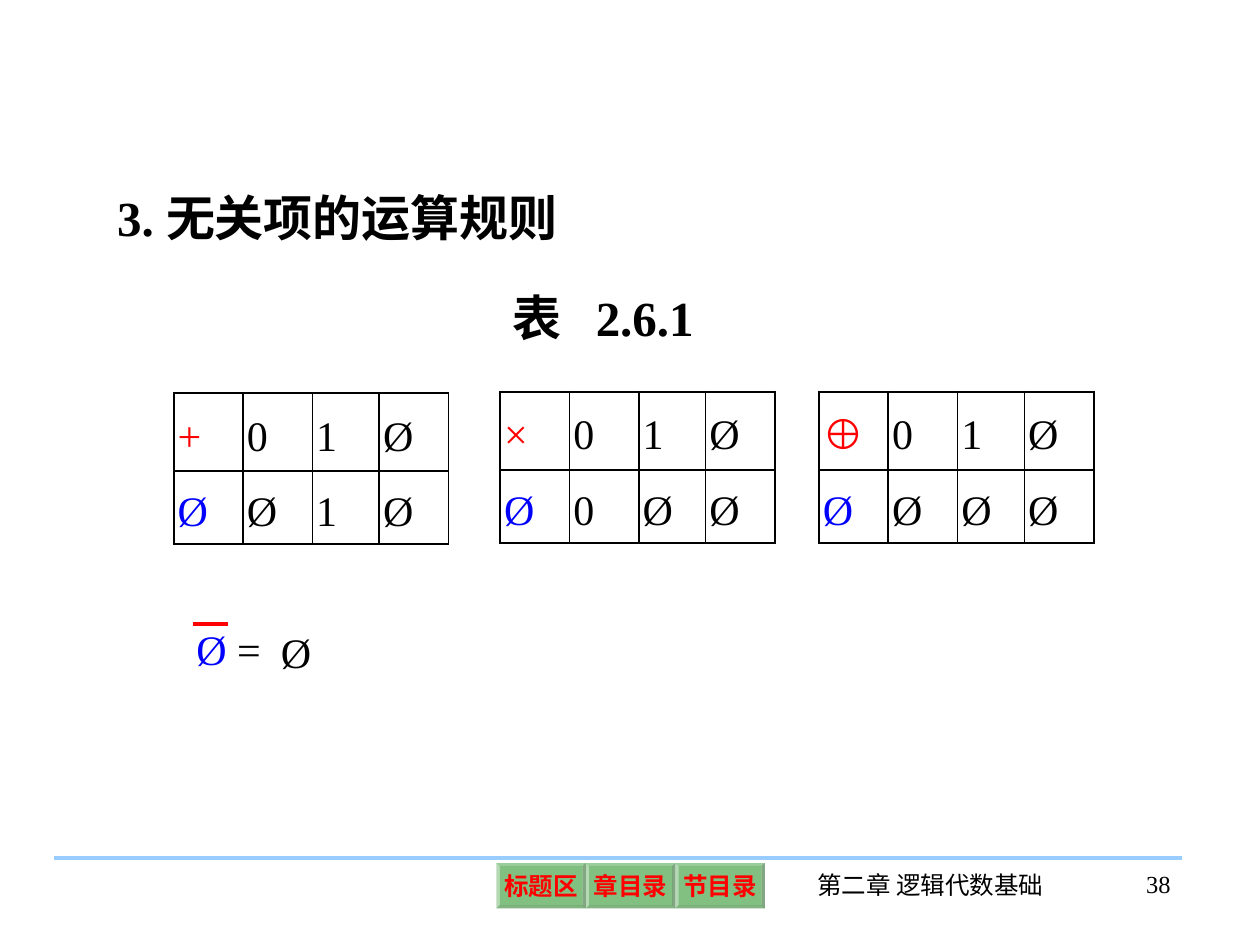
from dataclasses import dataclass, field
from typing import Any

from lxml.etree import SubElement
from pptx import Presentation
from pptx.dml.color import RGBColor
from pptx.enum.shapes import MSO_CONNECTOR as Connector, MSO_SHAPE as Preset
from pptx.enum.text import MSO_ANCHOR as Anchor, PP_ALIGN as Align
from pptx.oxml import parse_xml
from pptx.oxml.ns import nsdecls, qn
from pptx.util import Inches, Pt

FONT = "Times New Roman"
BLACK, RED, BLUE, GREEN, SKY = "000000", "FF0000", "0000FF", "008000", "99CCFF"
COLUMN_WIDTHS = (0.55, 0.55, 0.53, 0.55)
ROW_HEIGHTS = (0.62, 0.55)
BUTTON_WIDTH, BUTTON_HEIGHT = 0.71, 0.36


@dataclass
class Label:
    box: tuple[float, float, float, float]
    runs: list[tuple[str, str]]
    size: float
    bold: bool = False
    align: Align = Align.LEFT
    tabs: list[float] = field(default_factory=list)


@dataclass
class RuleTable:
    left: float
    top: float
    rows: tuple[str, str]


def color(value: str) -> RGBColor:
    return RGBColor.from_string(value)


def set_values(target: Any, values: dict[str, Any]) -> None:
    for name, value in values.items():
        setattr(target, name, value)


def set_frame(frame: Any, side: float, end: float, anchor: Anchor, wrap: bool = True) -> None:
    set_values(frame, {
        "margin_left": Inches(side), "margin_right": Inches(side),
        "margin_top": Inches(end), "margin_bottom": Inches(end),
        "vertical_anchor": anchor, "word_wrap": wrap,
    })


def add_run(paragraph: Any, text: str, size: float, hue: str, bold: bool = False) -> None:
    run = paragraph.add_run()
    run.text = text
    set_values(run.font, {"name": FONT, "size": Pt(size), "bold": bold})
    run.font.color.rgb = color(hue)


def write_label(shape: Any, label: Label) -> None:
    set_frame(shape.text_frame, 0.1, 0.05, Anchor.TOP)
    paragraph = shape.text_frame.paragraphs[0]
    set_values(paragraph, {"alignment": label.align, "line_spacing": 1.0, "space_before": Pt(0)})
    if label.tabs:
        tab_list = SubElement(paragraph._p.get_or_add_pPr(), qn("a:tabLst"))
        for position in label.tabs:
            SubElement(tab_list, qn("a:tab"), pos=str(Inches(position)), algn="l")
    for text, hue in label.runs:
        add_run(paragraph, text, label.size, hue, label.bold)


def add_label(shapes: Any, label: Label) -> None:
    write_label(shapes.add_textbox(*map(Inches, label.box)), label)


def add_rule(shapes: Any, left: float, right: float, y: float, hue: str) -> None:
    line = shapes.add_connector(Connector.STRAIGHT, *map(Inches, (left, y, right, y)))
    line.line.color.rgb = color(hue)
    line.line.width = Pt(2.25)
    SubElement(line._element.spPr, qn("a:effectLst"))


def add_button(shapes: Any, left: float, text: str) -> None:
    box = (left, 6.85, BUTTON_WIDTH, BUTTON_HEIGHT)
    button = shapes.add_shape(Preset.BEVEL, *map(Inches, box))
    button.adjustments[0] = 0.07
    button.shadow.inherit = False
    button.line.fill.background()
    button.fill.solid()
    button.fill.fore_color.rgb = color(GREEN)
    shade = button._element.spPr.find(".//" + qn("a:srgbClr"))
    SubElement(shade, qn("a:alpha"), val="49000")
    set_frame(button.text_frame, 0.04, 0.04, Anchor.MIDDLE, wrap=False)
    paragraph = button.text_frame.paragraphs[0]
    paragraph.alignment = Align.CENTER
    add_run(paragraph, text, 14, RED, True)


def set_borders(cell: Any) -> None:
    properties = cell._tc.get_or_add_tcPr()
    for index, side in enumerate(("lnL", "lnR", "lnT", "lnB")):
        border = parse_xml(
            f'<a:{side} {nsdecls("a")} w="{Pt(1.08)}"><a:solidFill>'
            f'<a:srgbClr val="{BLACK}"/></a:solidFill></a:{side}>')
        properties.insert(index, border)


def add_rule_table(shapes: Any, rules: RuleTable) -> None:
    box = (rules.left, rules.top, sum(COLUMN_WIDTHS), sum(ROW_HEIGHTS))
    table = shapes.add_table(len(ROW_HEIGHTS), len(COLUMN_WIDTHS), *map(Inches, box)).table
    set_values(table, {"first_row": False, "horz_banding": False})
    for column, width in zip(table.columns, COLUMN_WIDTHS):
        column.width = Inches(width)
    for row, height, symbols, lead in zip(table.rows, ROW_HEIGHTS, rules.rows, (RED, BLUE)):
        row.height = Inches(height)
        for index, (cell, symbol) in enumerate(zip(row.cells, symbols)):
            cell.fill.background()
            set_borders(cell)
            set_values(cell, {
                "margin_left": Inches(0.03), "margin_right": Inches(0.02),
                "margin_top": Inches(0.05), "margin_bottom": Inches(0.05),
                "vertical_anchor": Anchor.MIDDLE,
            })
            paragraph = cell.text_frame.paragraphs[0]
            paragraph.line_spacing = 1.2
            add_run(paragraph, symbol, 24, BLACK if index else lead)


def main() -> None:
    presentation = Presentation()
    set_values(presentation, {"slide_width": Inches(10), "slide_height": Inches(7.5)})
    slide = presentation.slides.add_slide(presentation.slide_layouts[5])
    shapes = slide.shapes

    # Heading and table caption
    heading = Label((0.83, 1.44, 8.47, 0.57), [("3. 无关项的运算规则", BLACK)], 28, True)
    title = shapes.title
    set_values(title, dict(zip(("left", "top", "width", "height"), map(Inches, heading.box))))
    write_label(title, heading)
    add_label(shapes, Label((3.97, 2.23, 2.09, 0.57), [("表\t2.6.1", BLACK)], 28, True, tabs=[0.66]))

    # Footer
    add_rule(shapes, 0.43, 9.38, 6.81, SKY)
    add_label(shapes, Label((6.25, 6.86, 2.27, 0.5), [("第二章 逻辑代数基础", BLACK)], 14,
                            align=Align.CENTER))
    add_label(shapes, Label((8.53, 6.85, 0.86, 0.5), [("38", BLACK)], 14, align=Align.RIGHT))
    for index, text in enumerate(("标题区", "章目录", "节目录")):
        add_button(shapes, 3.94 + index * BUTTON_WIDTH, text)

    # Operation tables for OR, AND and XOR
    for rules in (
        RuleTable(1.38, 3.12, ("+01Ø", "ØØ1Ø")),
        RuleTable(3.97, 3.11, ("×01Ø", "Ø0ØØ")),
        RuleTable(6.5, 3.11, ("⊕01Ø", "ØØØØ")),
    ):
        add_rule_table(shapes, rules)

    # Complement formula with its overbar
    formula = shapes.add_group_shape().shapes
    add_label(formula, Label((1.46, 4.9, 0.83, 0.5), [("Ø ", BLUE), ("=", BLACK)], 24))
    add_rule(formula, 1.53, 1.81, 4.95, RED)
    add_label(formula, Label((2.13, 4.92, 0.55, 0.5), [("Ø", BLACK)], 24))

    presentation.save("out.pptx")


if __name__ == "__main__":
    main()
